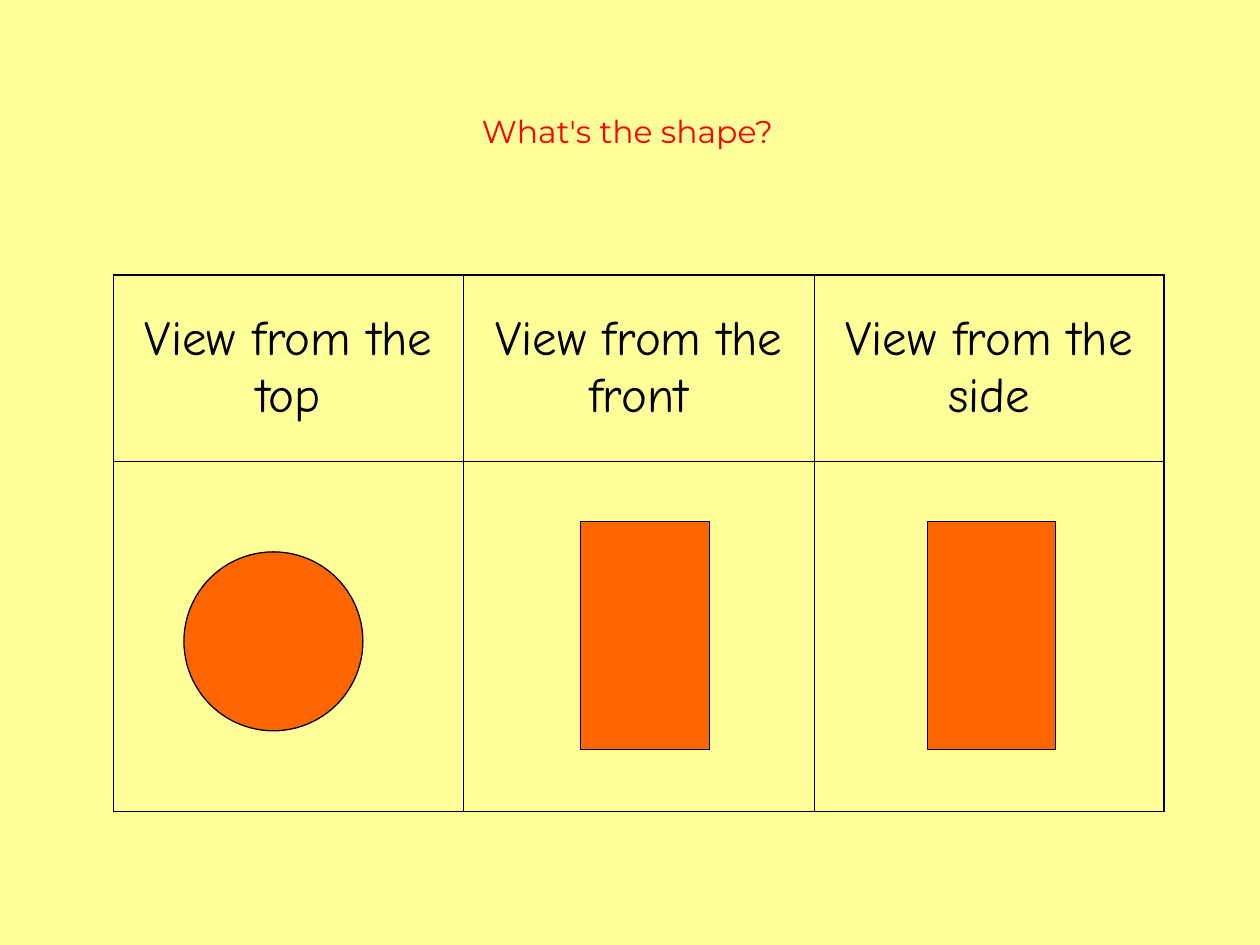
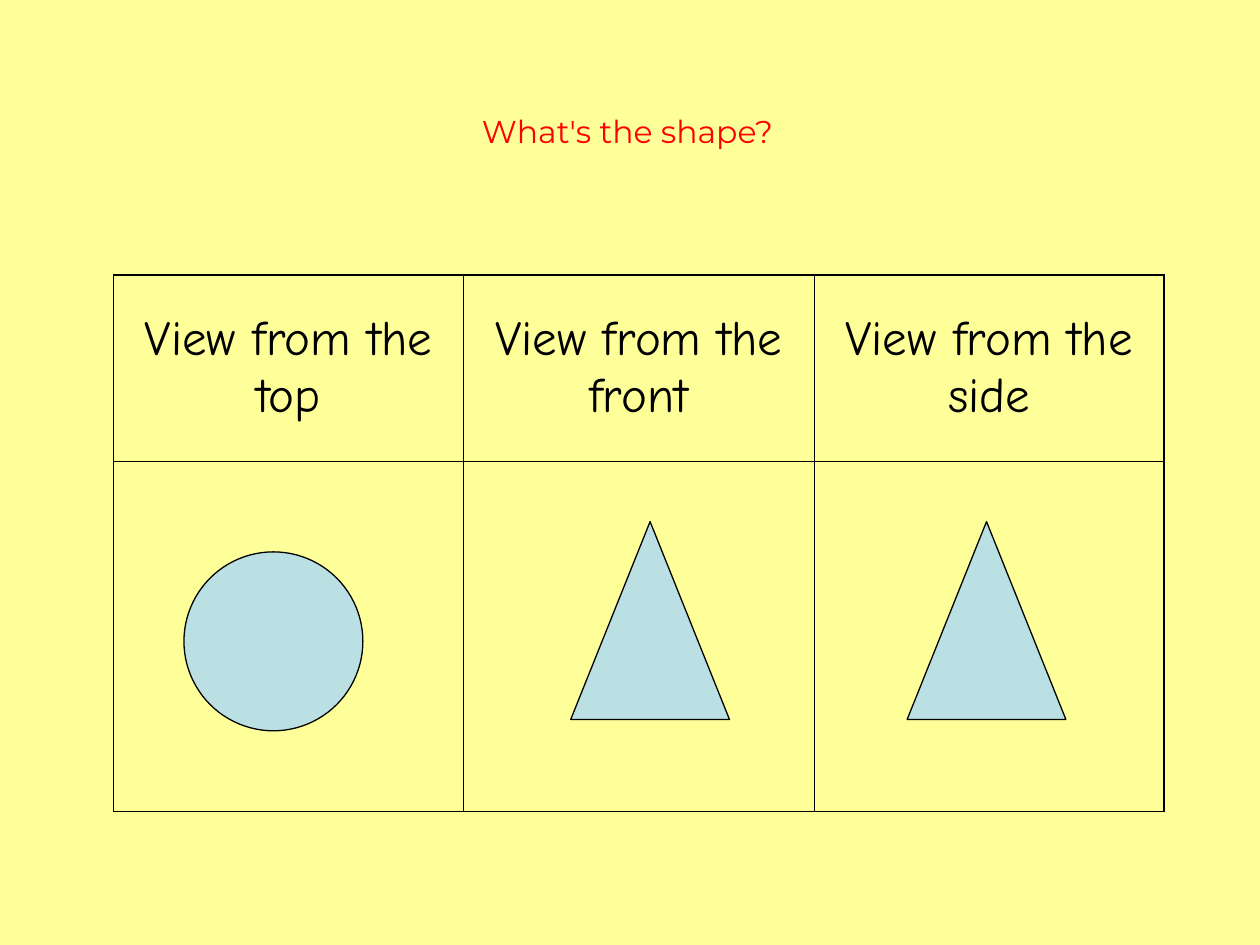
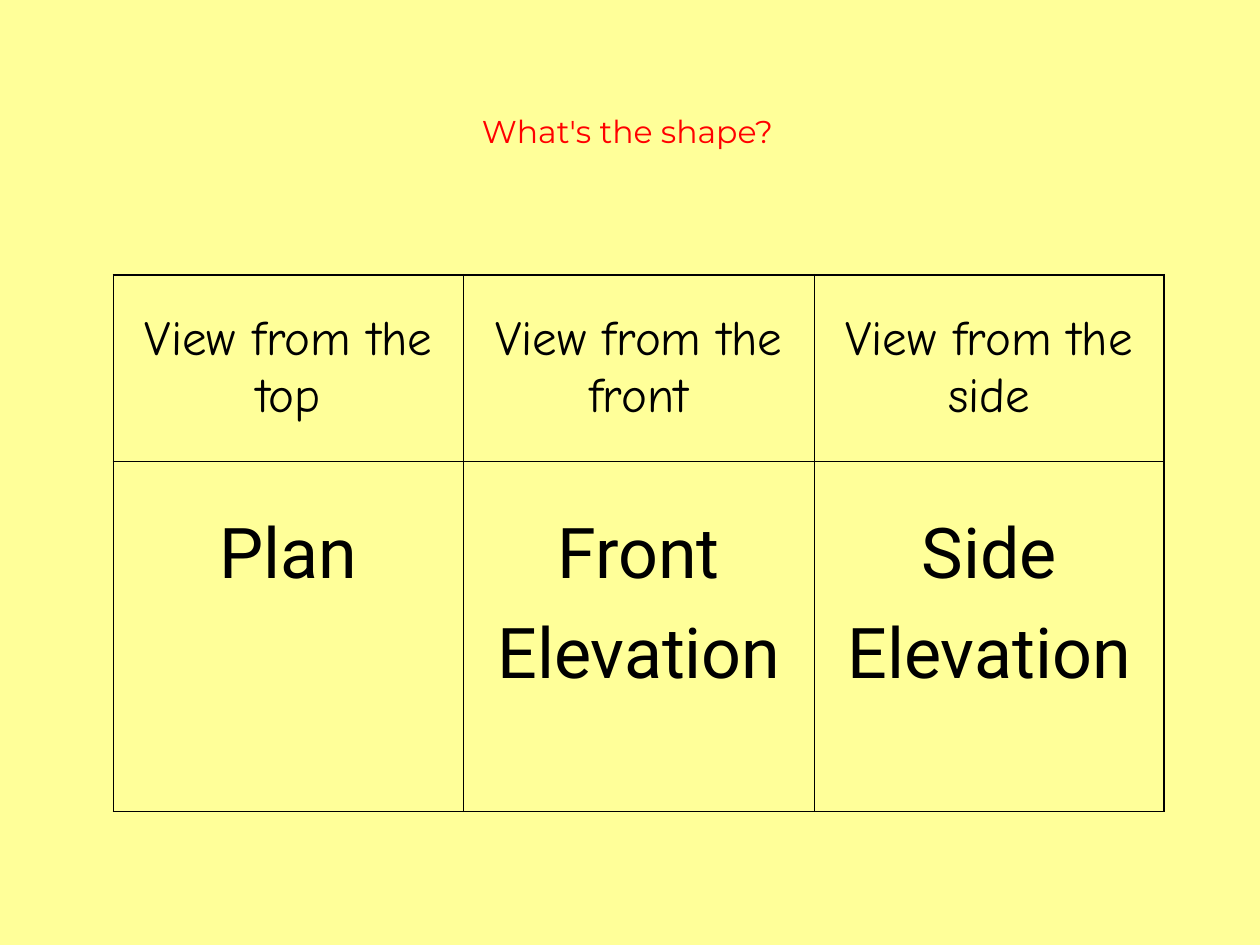
from lxml.etree import SubElement
from pptx import Presentation
from pptx.dml.color import RGBColor as RGB
from pptx.enum.shapes import MSO_SHAPE as SHAPE
from pptx.enum.text import MSO_ANCHOR as ANCHOR, PP_ALIGN as ALIGN
from pptx.oxml.ns import qn
from pptx.util import Inches, Pt


class Theme:
    background = RGB.from_string("FFFF99")
    title = RGB.from_string("FF0000")
    ink = RGB.from_string("000000")
    orange = RGB.from_string("FF6600")
    pale_blue = RGB.from_string("BBE0E3")
    title_font, title_size = "Montserrat", Pt(18)
    view_font, view_size = "Comic Neue", Pt(28)
    name_font, name_size = "Roboto", Pt(40)
    frame, rule, outline = Pt(1.08), Pt(0.45), Pt(0.75)


def style(p, font, size, color):
    p.alignment = ALIGN.CENTER
    p.font.name, p.font.size = font, size
    p.font.color.rgb = color


def add_border(cell, side, width):
    ln = SubElement(cell._tc.get_or_add_tcPr(), qn(f"a:ln{side}"), w=str(width))
    fill = SubElement(ln, qn("a:solidFill"))
    SubElement(fill, qn("a:srgbClr"), val=str(Theme.ink))


views = ["top", "front", "side"]
row_heights = [1.48, 2.78]
col_width = 2.78

circle = (SHAPE.OVAL, 1.46, 4.38, 1.42, 1.42)
cylinder = [circle] + [(SHAPE.RECTANGLE, x, 4.14, 1.02, 1.81) for x in (4.61, 7.36)]
cone = [circle] + [(SHAPE.ISOSCELES_TRIANGLE, x, 4.14, 1.26, 1.57) for x in (4.53, 7.2)]
view_names = [["Plan"], ["Front", "Elevation"], ["Side", "Elevation"]]

slides = [
    (Theme.orange, cylinder, []),
    (Theme.pale_blue, cone, []),
    (None, [], view_names),
]

prs = Presentation()
prs.slide_width, prs.slide_height = Inches(10), Inches(7.5)

for color, outlines, names in slides:
    s = prs.slides.add_slide(prs.slide_layouts[6])
    s.background.fill.solid()
    s.background.fill.fore_color.rgb = Theme.background

    table = s.shapes.add_table(
        2, 3, Inches(0.9), Inches(2.18), Inches(3 * col_width), Inches(sum(row_heights))
    ).table
    table.first_row = table.horz_banding = False
    for col in table.columns:
        col.width = Inches(col_width)
    for i, height in enumerate(row_heights):
        table.rows[i].height = Inches(height)
        for j in range(3):
            cell = table.cell(i, j)
            edges = {"L": j == 0, "R": j == 2, "T": i == 0, "B": i == 1}
            for side, outer in edges.items():
                add_border(cell, side, Theme.frame if outer else Theme.rule)
            cell.fill.background()

    for j, view in enumerate(views):
        cell = table.cell(0, j)
        cell.vertical_anchor = ANCHOR.MIDDLE
        cell.text = f"View from the {view}"
        style(cell.text_frame.paragraphs[0], Theme.view_font, Theme.view_size, Theme.ink)

    for j, lines in enumerate(names):
        cell = table.cell(1, j)
        cell.margin_top = Inches(0.42)
        cell.text = "\n".join(lines)
        for k, p in enumerate(cell.text_frame.paragraphs):
            style(p, Theme.name_font, Theme.name_size, Theme.ink)
            if k:
                p.space_before = Pt(10)

    tf = s.shapes.add_textbox(Inches(2.64), Inches(0.84), Inches(4.68), Inches(0.71)).text_frame
    tf.word_wrap = False
    tf.text = "What's the shape?"
    style(tf.paragraphs[0], Theme.title_font, Theme.title_size, Theme.title)

    for kind, *box in outlines:
        sp = s.shapes.add_shape(kind, *map(Inches, box))
        sp.shadow.inherit = False
        sp.fill.solid()
        sp.fill.fore_color.rgb = color
        sp.line.color.rgb = Theme.ink
        sp.line.width = Theme.outline

prs.save("out.pptx")
